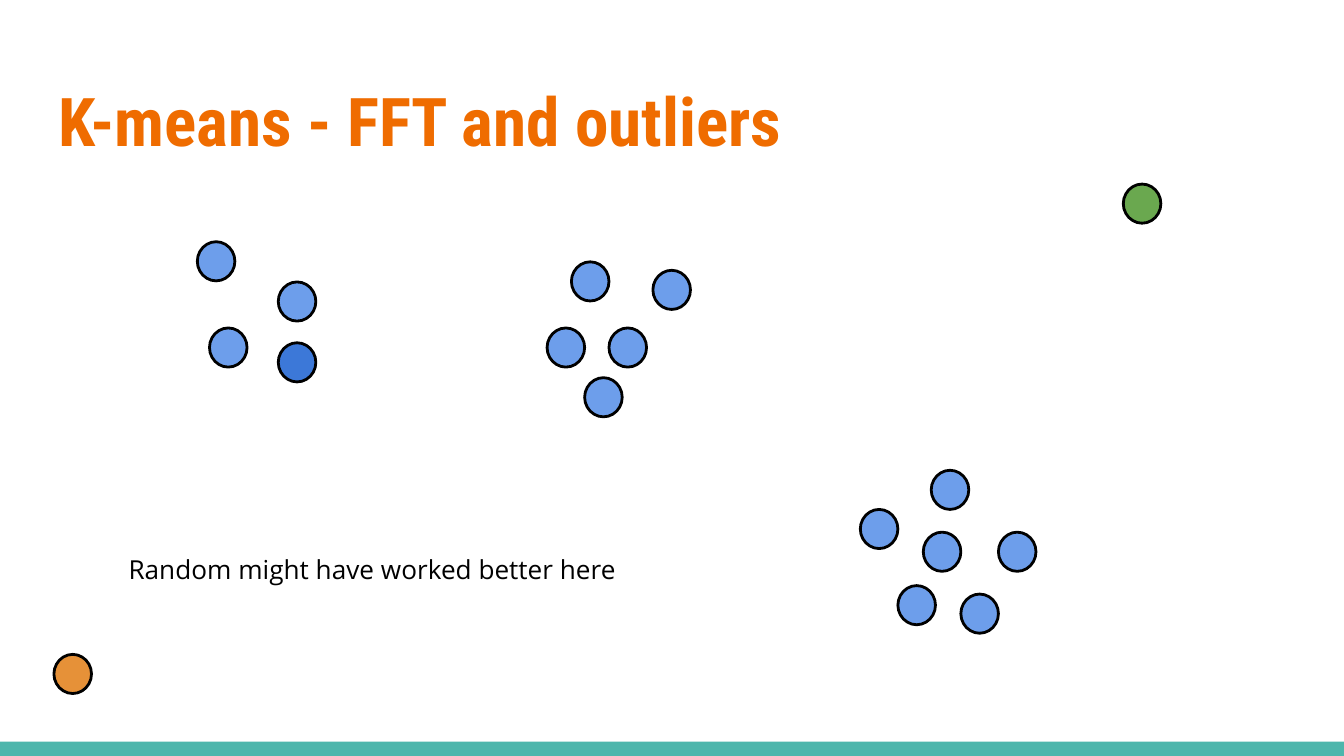
from pptx import Presentation
from pptx.dml.color import RGBColor
from pptx.enum.shapes import MSO_SHAPE
from pptx.enum.text import MSO_ANCHOR, MSO_AUTO_SIZE, PP_ALIGN
from pptx.util import Cm, Pt

COLORS = {
    "title": "EF6C00",
    "text": "000000",
    "line": "000000",
    "bar": "4DB6AC",
    "point": "6D9EEB",
    "blue": "3C78D8",
    "green": "6AA84F",
    "orange": "E69138",
}
WIDTH, HEIGHT = 25.4, 14.29

# Left and top of each point in cm
CLUSTERS = {
    "left": [(3.73, 4.57), (5.26, 5.33), (3.96, 6.2)],
    "middle": [(10.8, 4.95), (10.34, 6.2), (12.34, 5.11), (11.51, 6.2),
               (11.05, 7.14)],
    "right": [(18.16, 11.23), (18.87, 10.06), (16.97, 11.07),
              (17.45, 10.06), (17.6, 8.89), (16.26, 9.63)],
}
CENTERS = {"blue": (5.26, 6.48), "green": (21.23, 3.48),
           "orange": (1.02, 12.37)}


def color(name):
    return RGBColor.from_string(COLORS[name])


def write(frame, text, *, font, size, tint, bold=False):
    frame.word_wrap = True
    frame.auto_size = MSO_AUTO_SIZE.NONE
    frame.vertical_anchor = MSO_ANCHOR.TOP
    frame.margin_left = frame.margin_right = Cm(0.25)
    frame.margin_top = frame.margin_bottom = Cm(0.25)
    para = frame.paragraphs[0]
    para.alignment = PP_ALIGN.LEFT
    run = para.add_run()
    run.text = text
    run.font.name = font
    run.font.size = Pt(size)
    run.font.bold = bold
    run.font.color.rgb = color(tint)


class Board:
    head = "Roboto Condensed"
    body = "Open Sans"
    dot = (0.71, 0.74)

    def __init__(self, slide):
        self.slide = slide

    def title(self, text, left, top, width, height):
        shape = self.slide.shapes.title
        shape.left, shape.top = Cm(left), Cm(top)
        shape.width, shape.height = Cm(width), Cm(height)
        write(shape.text_frame, text, font=self.head, size=36,
              tint="title", bold=True)

    def note(self, text, *box):
        shape = self.slide.shapes.add_textbox(*map(Cm, box))
        write(shape.text_frame, text, font=self.body, size=14, tint="text")

    def shape(self, kind, fill, *box):
        shape = self.slide.shapes.add_shape(kind, *map(Cm, box))
        shape.shadow.inherit = False
        shape.fill.solid()
        shape.fill.fore_color.rgb = color(fill)
        return shape

    def bar(self, *box):
        self.shape(MSO_SHAPE.RECTANGLE, "bar", *box).line.fill.background()

    def point(self, left, top, fill="point"):
        shape = self.shape(MSO_SHAPE.OVAL, fill, left, top, *self.dot)
        shape.line.color.rgb = color("line")
        shape.line.width = Pt(1.5)


def main():
    deck = Presentation()
    deck.slide_width, deck.slide_height = Cm(WIDTH), Cm(HEIGHT)
    board = Board(deck.slides.add_slide(deck.slide_layouts[5]))
    board.bar(0, 14.02, WIDTH, 0.27)
    board.title("K-means - FFT and outliers", 0.86, 1.24, 23.67, 1.96)
    for points in CLUSTERS.values():
        for left, top in points:
            board.point(left, top)
    for fill, (left, top) in CENTERS.items():
        board.point(left, top, fill)
    board.note("Random might have worked better here",
               2.18, 10.21, 10.16, 1.09)
    deck.save("out.pptx")


if __name__ == "__main__":
    main()
